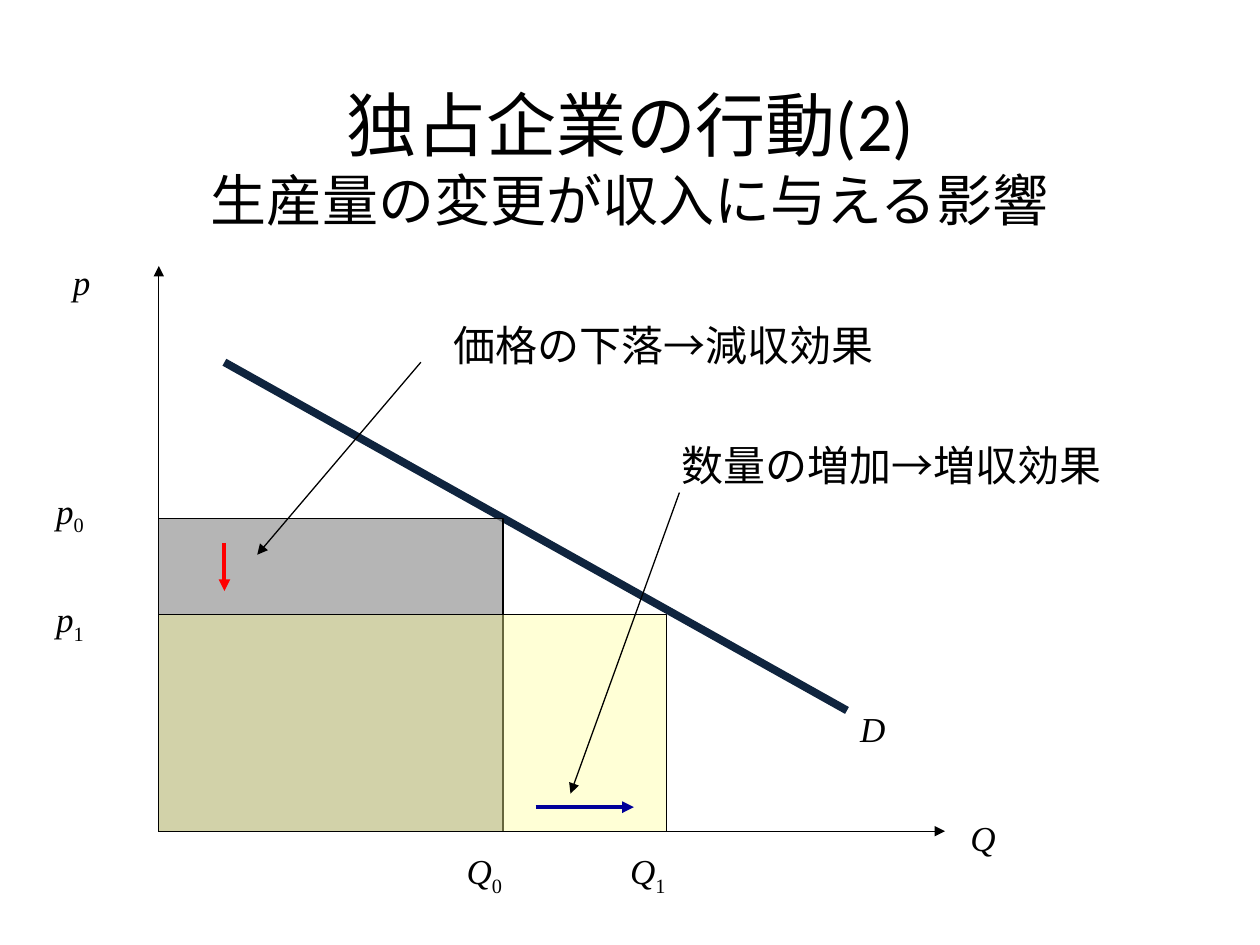
from lxml import etree
from pptx import Presentation
from pptx.dml.color import RGBColor
from pptx.enum.shapes import MSO_CONNECTOR, MSO_SHAPE
from pptx.enum.text import MSO_ANCHOR, PP_ALIGN
from pptx.oxml.ns import qn
from pptx.util import Pt

STRAIGHT = MSO_CONNECTOR.STRAIGHT
RECTANGLE = MSO_SHAPE.RECTANGLE
MIDDLE = MSO_ANCHOR.MIDDLE
TOP = MSO_ANCHOR.TOP
CENTER = PP_ALIGN.CENTER
LEFT = PP_ALIGN.LEFT

COLORS = {
    "ink": "000000",
    "demand": "0F243E",
    "loss": "969696",
    "gain": "FFFF99",
    "price_fall": "FF0000",
    "quantity_rise": "000099",
}


class Diagram:
    title_font = "Calibri"
    note_font = "Arial"
    symbol_font = "Times New Roman"

    def __init__(self, page):
        self.page = page

    def color(self, name):
        return RGBColor.from_string(COLORS[name])

    def style(self, span, size, font):
        span.font.size = Pt(size)
        span.font.name = font
        span.font.color.rgb = self.color("ink")

    def text_box(self, left, top, width, height, anchor=TOP, align=LEFT):
        box = self.page.shapes.add_textbox(Pt(left), Pt(top), Pt(width), Pt(height))
        frame = box.text_frame
        frame.word_wrap = True
        frame.vertical_anchor = anchor
        frame.paragraphs[0].alignment = align
        return frame.paragraphs[0]

    def title(self, heading, subtitle):
        para = self.text_box(36, 36, 648, 108, MIDDLE, CENTER)
        para.text = heading + "\v" + subtitle
        for span, size in zip(para.runs, (40, 32)):
            self.style(span, size, self.title_font)

    def note(self, text, left, top, width):
        para = self.text_box(left, top, width, 36)
        para.text = text
        self.style(para.runs[0], 24, self.note_font)

    def symbol(self, letter, left, top, width, index=""):
        para = self.text_box(left, top, width, 31)
        para.text = letter
        self.style(para.runs[0], 20, self.symbol_font)
        para.runs[0].font.italic = True
        if index:
            span = para.add_run()
            span.text = index
            self.style(span, 20, self.symbol_font)
            span.font._element.set("baseline", "-25000")

    def area(self, left, top, right, bottom, color, opacity):
        shape = self.page.shapes.add_shape(
            RECTANGLE, Pt(left), Pt(top), Pt(right - left), Pt(bottom - top))
        shape.shadow.inherit = False
        shape.fill.solid()
        shape.fill.fore_color.rgb = self.color(color)
        fill = shape._element.spPr.find(qn("a:solidFill"))
        etree.SubElement(fill[0], qn("a:alpha"), val=str(opacity * 1000))
        shape.line.color.rgb = self.color("ink")
        shape.line.width = Pt(0.75)

    def line(self, start, end, color="ink", width=0.75, arrow=True):
        connector = self.page.shapes.add_connector(
            STRAIGHT, *(Pt(value) for value in start + end))
        connector.line.color.rgb = self.color(color)
        connector.line.width = Pt(width)
        if arrow:
            etree.SubElement(connector.line._get_or_add_ln(), qn("a:tailEnd"), type="triangle")
        etree.SubElement(connector._element.spPr, qn("a:effectLst"))


deck = Presentation()
deck.slide_width = Pt(720)
deck.slide_height = Pt(540)
diagram = Diagram(deck.slides.add_slide(deck.slide_layouts[6]))

origin_x, origin_y = 90.75, 475
price_0, price_1 = 296.25, 351.25
quantity_0, quantity_1 = 287.5, 381

diagram.title("独占企業の行動(2)", "生産量の変更が収入に与える影響")
diagram.note("数量の増加→増収効果", 382.5, 247.5, 255.5)

diagram.line((origin_x, origin_y), (540, origin_y))
diagram.line((origin_x, origin_y), (origin_x, 152))
diagram.line((128.25, 207), (484, 406), "demand", 4.5, arrow=False)

diagram.symbol("Q", 547.5, 463, 47)
diagram.symbol("p", 34.5, 145.5, 37.5)
diagram.symbol("D", 484.5, 400.5, 47)

diagram.area(origin_x, price_0, quantity_0, origin_y, "loss", 70)
diagram.area(origin_x, price_1, quantity_1, origin_y, "gain", 40)

for index, price_top, quantity_left in (("0", 276, 259.5), ("1", 337.75, 353)):
    diagram.symbol("p", 25, price_top, 56, index)
    diagram.symbol("Q", quantity_left, 482, 65.5, index)

diagram.line((128.25, 310.25), (128.25, 337.75), "price_fall", 2.25)
diagram.line((306, 461.25), (362.25, 461.25), "quantity_rise", 2.25)

diagram.note("価格の下落→減収効果", 252, 179.25, 260.5)
diagram.line((240.5, 207), (147, 317))
diagram.line((388.25, 281.5), (326, 453.5))

deck.save("out.pptx")
